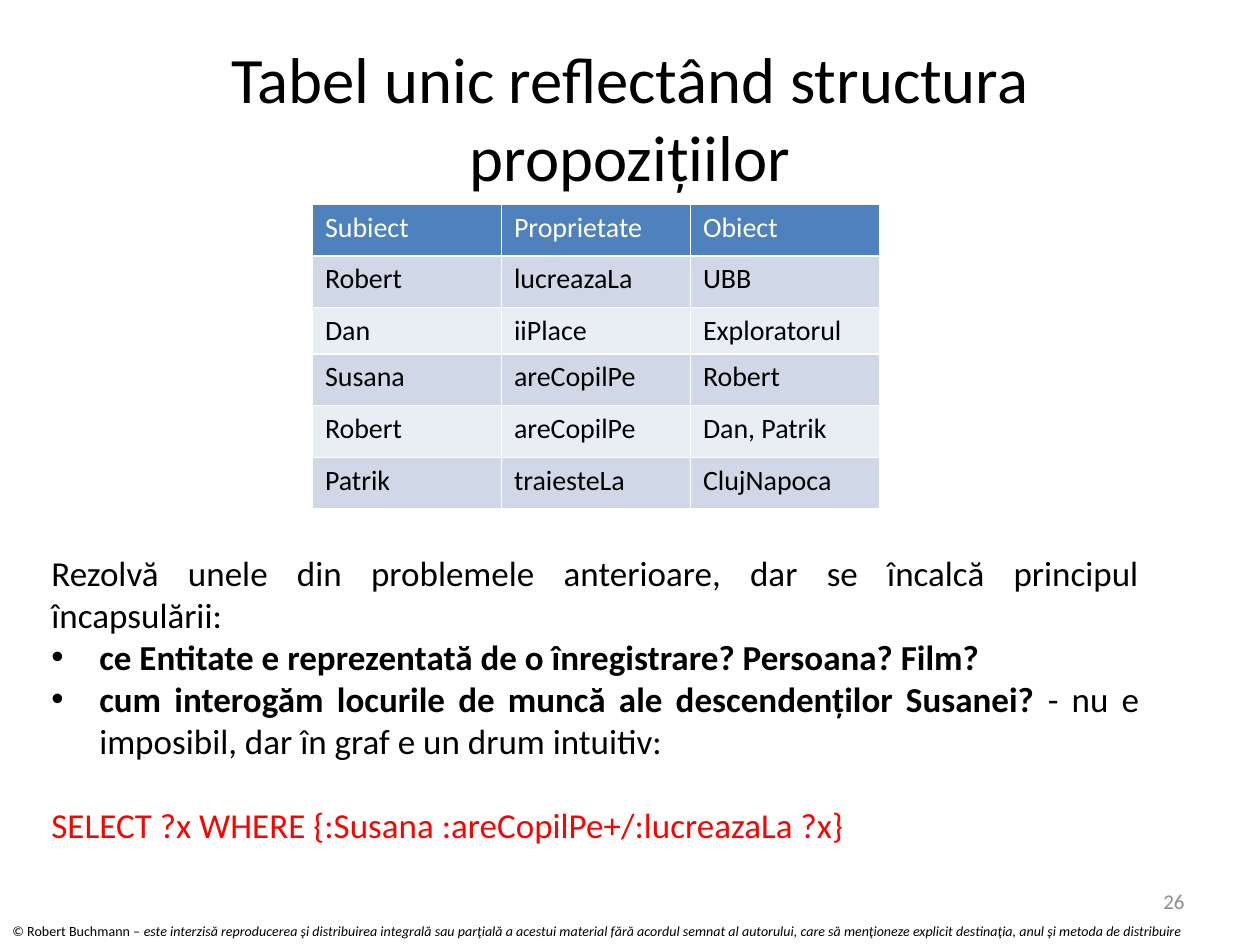
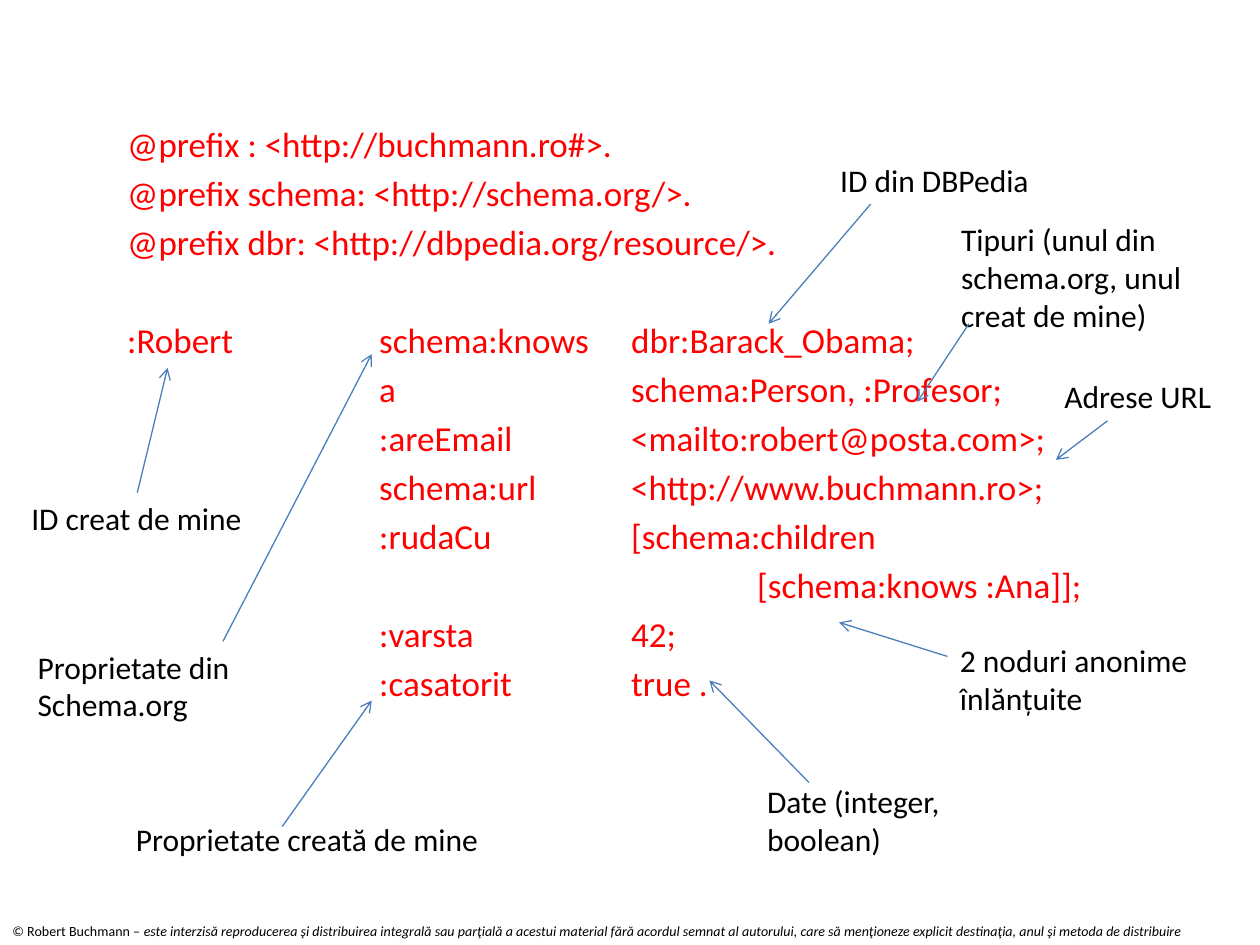
"""Builds two slides on triples: a single table and an annotated Turtle example."""
from lxml.etree import SubElement
from pptx import Presentation
from pptx.dml.color import RGBColor
from pptx.enum.shapes import MSO_CONNECTOR
from pptx.enum.text import MSO_ANCHOR, MSO_AUTO_SIZE, PP_ALIGN
from pptx.oxml.ns import qn
from pptx.util import Inches, Pt

BLACK, WHITE, RED, GREY = "000000", "FFFFFF", "FF0000", "8C8C8C"
HEADER, BANDS, ARROW = "4F81BD", ("D0D8E8", "E9EDF4"), "4B7EBC"
TITLE_ONLY, TITLE_AND_CONTENT = 5, 1


def rgb(value):
    return RGBColor.from_string(value)


def add_text(paragraph, text, size=18, color=BLACK, bold=False, italic=False):
    run = paragraph.add_run()
    run.text = text
    font = run.font
    font.name, font.size, font.bold, font.italic = "Calibri", Pt(size), bold, italic
    font.color.rgb = rgb(color)


def next_paragraph(frame):
    first = frame.paragraphs[0]
    return frame.add_paragraph() if first.runs else first


def set_list_format(paragraph, bullet=None, indent=0, tab_width=1):
    properties = paragraph._p.get_or_add_pPr()
    properties.set("marL", str(Inches(indent)))
    properties.set("indent", str(-Inches(indent)))
    properties.set("defTabSz", str(Inches(tab_width)))
    if bullet:
        SubElement(properties, qn("a:buFont"), typeface="Arial")
        SubElement(properties, qn("a:buChar"), char=bullet)
    else:
        SubElement(properties, qn("a:buNone"))


class Deck:
    def __init__(self):
        self.presentation = Presentation()
        self.presentation.slide_width = Inches(10)
        self.presentation.slide_height = Inches(7.5)
        self.slide = None

    def new_slide(self, layout):
        layouts = self.presentation.slide_layouts
        self.slide = self.presentation.slides.add_slide(layouts[layout])
        notice = self.text_frame(0, 7.27, 10, 0.24).paragraphs[0]
        add_text(notice, "© Robert Buchmann – ", size=8)
        add_text(notice, "este interzisă reproducerea şi distribuirea integrală sau parţială "
                 "a acestui material fără acordul semnat al autorului, care să menţioneze "
                 "explicit destinaţia, anul şi metoda de distribuire", size=8, italic=True)

    def text_frame(self, left, top, width, height):
        box = self.slide.shapes.add_textbox(*map(Inches, (left, top, width, height)))
        box.text_frame.word_wrap = True
        return box.text_frame

    def placeholder_frame(self, placeholder, left, top, width, height):
        placeholder.left, placeholder.top = Inches(left), Inches(top)
        placeholder.width, placeholder.height = Inches(width), Inches(height)
        frame = placeholder.text_frame
        frame.auto_size = MSO_AUTO_SIZE.NONE
        return frame

    def title(self, text):
        frame = self.placeholder_frame(self.slide.shapes.title, 0.5, 0.3, 9, 1.25)
        frame.vertical_anchor = MSO_ANCHOR.MIDDLE
        frame.paragraphs[0].alignment = PP_ALIGN.CENTER
        add_text(frame.paragraphs[0], text, size=37)

    def page_number(self, number):
        frame = self.text_frame(7.17, 6.95, 2.33, 0.4)
        frame.vertical_anchor = MSO_ANCHOR.MIDDLE
        frame.paragraphs[0].alignment = PP_ALIGN.RIGHT
        add_text(frame.paragraphs[0], number, size=12, color=GREY)

    def table(self, rows, left, top, column_width, row_heights):
        columns = len(rows[0])
        table = self.slide.shapes.add_table(
            len(rows), columns, Inches(left), Inches(top),
            Inches(column_width * columns), Inches(sum(row_heights))).table
        for column in table.columns:
            column.width = Inches(column_width)
        for i, (values, height) in enumerate(zip(rows, row_heights)):
            table.rows[i].height = Inches(height)
            for j, value in enumerate(values):
                cell = table.cell(i, j)
                cell.fill.solid()
                cell.fill.fore_color.rgb = rgb(BANDS[(i - 1) % 2] if i else HEADER)
                add_text(cell.text_frame.paragraphs[0], value, size=16,
                         color=BLACK if i else WHITE)

    def code(self, lines, gap_before):
        title, body = self.slide.placeholders
        title.element.getparent().remove(title.element)
        frame = self.placeholder_frame(body, 0.91, 0.92, 9, 4.95)
        for i, line in enumerate(lines):
            paragraph = next_paragraph(frame)
            set_list_format(paragraph)
            paragraph.space_before = Pt(32 if i == gap_before else 4 if i else 0)
            add_text(paragraph, line, size=20, color=RED)

    def arrow(self, start, end):
        line = self.slide.shapes.add_connector(
            MSO_CONNECTOR.STRAIGHT, *map(Inches, (*start, *end)))
        line.line.color.rgb = rgb(ARROW)
        line.line.width = Pt(0.75)
        SubElement(line.line._get_or_add_ln(), qn("a:tailEnd"), type="arrow")
        SubElement(line._element.spPr, qn("a:effectLst"))

    def callout(self, text, box, start, end):
        add_text(self.text_frame(*box).paragraphs[0], text)
        self.arrow(start, end)


def build_table_slide(deck):
    deck.new_slide(TITLE_ONLY)
    deck.title("Tabel unic reflectând structura propozițiilor")
    deck.page_number("26")
    triples = [
        ("Subiect", "Proprietate", "Obiect"),
        ("Robert", "lucreazaLa", "UBB"),
        ("Dan", "iiPlace", "Exploratorul"),
        ("Susana", "areCopilPe", "Robert"),
        ("Robert", "areCopilPe", "Dan, Patrik"),
        ("Patrik", "traiesteLa", "ClujNapoca"),
    ]
    deck.table(triples, 2.48, 1.62, 1.5, (0.41, 0.41, 0.37, 0.41, 0.41, 0.41))

    discussion = deck.text_frame(0.31, 4.33, 8.83, 2.46)
    intro = next_paragraph(discussion)
    add_text(intro, "Rezolvă unele din problemele anterioare, dar se încalcă "
             "principul încapsulării:", size=20)
    questions = [
        ("ce Entitate e reprezentată de o înregistrare? Persoana? Film?", ""),
        ("cum interogăm locurile de muncă ale descendenților Susanei?",
         " - nu e imposibil, dar în graf e un drum intuitiv:"),
    ]
    for question, remark in questions:
        paragraph = next_paragraph(discussion)
        set_list_format(paragraph, bullet="•", indent=0.38)
        add_text(paragraph, question, size=20, bold=True)
        if remark:
            add_text(paragraph, remark, size=20)
    query = next_paragraph(discussion)
    query.space_before = Pt(24)
    add_text(query, "SELECT ?x WHERE {:Susana :areCopilPe+/:lucreazaLa ?x}",
             size=20, color=RED)
    for paragraph in discussion.paragraphs:
        paragraph.alignment = PP_ALIGN.JUSTIFY


def build_turtle_slide(deck):
    deck.new_slide(TITLE_AND_CONTENT)
    deck.code([
        "@prefix : <http://buchmann.ro#>.",
        "@prefix schema: <http://schema.org/>.",
        "@prefix dbr: <http://dbpedia.org/resource/>.",
        ":Robert\t\tschema:knows\tdbr:Barack_Obama;",
        "\t\ta\t\tschema:Person, :Profesor;",
        "\t\t:areEmail\t<mailto:robert@posta.com>;",
        "\t\tschema:url\t<http://www.buchmann.ro>;",
        "\t\t:rudaCu\t\t[schema:children",
        "\t\t\t\t\t[schema:knows :Ana]];",
        "\t\t:varsta\t\t42;",
        "\t\t:casatorit\ttrue .",
    ], gap_before=3)
    callouts = [
        ("ID creat de mine", (0.15, 3.91, 2, 0.4), (1.09, 3.91), (1.33, 2.92)),
        ("Proprietate din Schema.org", (0.2, 5.09, 2.26, 0.71), (1.77, 5.09), (2.95, 2.81)),
        ("Proprietate creată de mine", (0.98, 6.46, 3.05, 0.4), (2.24, 6.56), (2.95, 5.56)),
        ("Date (integer, boolean)", (5.99, 6.16, 2.26, 0.71), (6.42, 6.21), (5.63, 5.4)),
        ("2 noduri anonime înlănțuite", (7.52, 5.04, 2.26, 0.71), (7.52, 5.21), (6.66, 4.94)),
        ("ID din DBPedia", (6.57, 1.23, 1.85, 0.4), (6.91, 1.62), (6.1, 2.57)),
        ("Tipuri (unul din schema.org, unul creat de mine)",
         (7.53, 1.7, 2.26, 1.01), (7.69, 2.57), (7.28, 3.19)),
        ("Adrese URL", (8.35, 2.94, 1.6, 0.4), (8.79, 3.34), (8.38, 3.65)),
    ]
    for callout in callouts:
        deck.callout(*callout)


def main():
    deck = Deck()
    build_table_slide(deck)
    build_turtle_slide(deck)
    deck.presentation.save("out.pptx")


if __name__ == "__main__":
    main()
